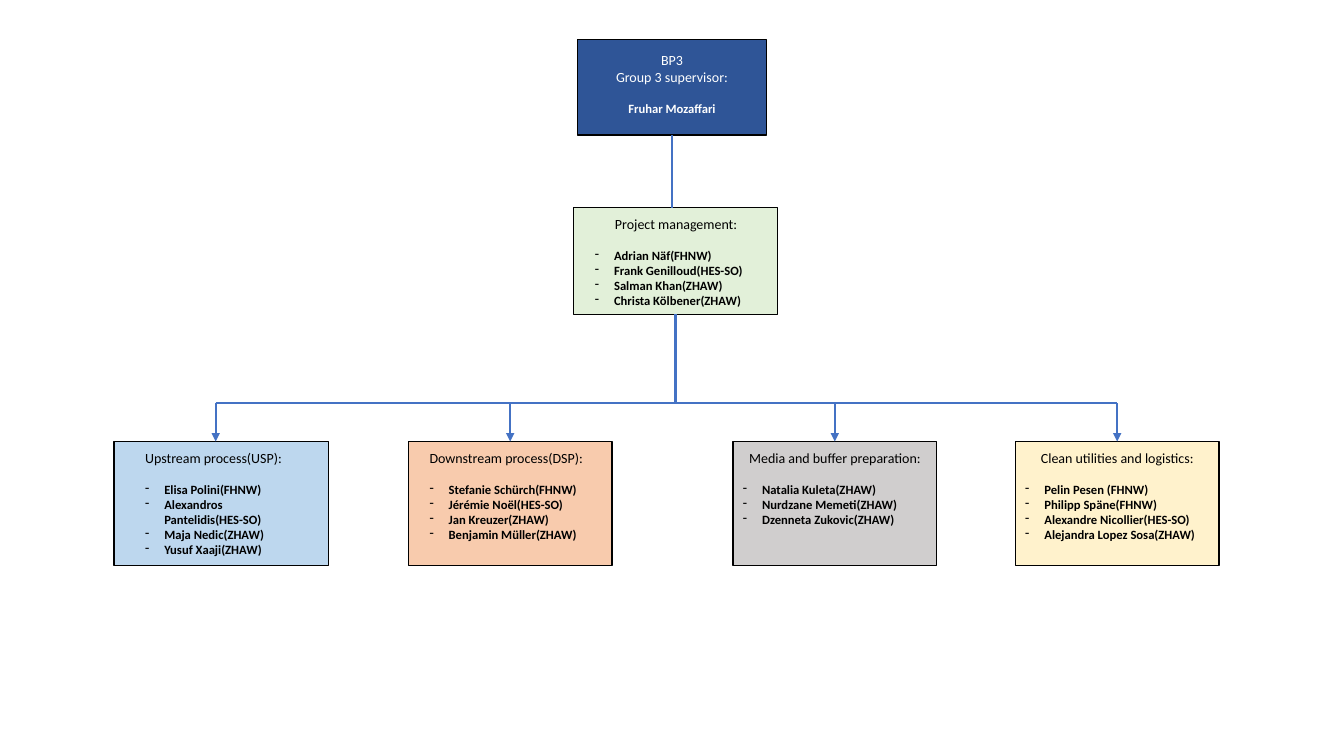
from lxml import etree
from pptx import Presentation
from pptx.dml.color import RGBColor
from pptx.enum import shapes, text
from pptx.oxml import ns
from pptx.util import Inches, Pt

BLACK = RGBColor(0x00, 0x00, 0x00)
WHITE = RGBColor(0xFF, 0xFF, 0xFF)
NAVY = RGBColor(0x2F, 0x55, 0x97)
GREEN = RGBColor(0xE2, 0xF0, 0xD9)
BLUE = RGBColor(0xBD, 0xD7, 0xEE)
ORANGE = RGBColor(0xF8, 0xCB, 0xAD)
GREY = RGBColor(0xD0, 0xCE, 0xCE)
YELLOW = RGBColor(0xFF, 0xF2, 0xCC)
LINK = RGBColor(0x44, 0x72, 0xC4)

CENTER, LEFT = text.PP_ALIGN.CENTER, text.PP_ALIGN.LEFT
SUPERVISOR = (5.73, 0.39, 1.87, 0.95)
MANAGEMENT = (5.69, 2.06, 2.02, 1.06)
TEAM_TOP, TEAM_HEIGHT = 4.38, 1.23
BUS_Y = 4
STEM = 1.01

TEAMS = [
    (1.13, 2.13, BLUE, LEFT, (0.31, 0.41), "Upstream process(USP):",
     ["Elisa Polini(FHNW)", "Alexandros Pantelidis(HES-SO)",
      "Maja Nedic(ZHAW)", "Yusuf Xaaji(ZHAW)"]),
    (4.05, 2.02, ORANGE, LEFT, (0.21, 0.2), "Downstream process(DSP):",
     ["Stefanie Schürch(FHNW)", "Jérémie Noël(HES-SO)",
      "Jan Kreuzer(ZHAW)", "Benjamin Müller(ZHAW)"]),
    (7.27, 2.02, GREY, CENTER, (0.1, 0.1), "Media and buffer preparation:",
     ["Natalia Kuleta(ZHAW)", "Nurdzane Memeti(ZHAW)", "Dzenneta Zukovic(ZHAW)"]),
    (10.07, 2.02, YELLOW, CENTER, (0.1, 0.1), "Clean utilities and logistics:",
     ["Pelin Pesen (FHNW)", "Philipp Späne(FHNW)",
      "Alexandre Nicollier(HES-SO)", "Alejandra Lopez Sosa(ZHAW)"]),
]


def add_dash(paragraph):
    """Give a paragraph a hanging dash bullet."""
    properties = paragraph._p.get_or_add_pPr()
    properties.set("marL", str(Inches(0.19)))
    properties.set("indent", str(-Inches(0.19)))
    etree.SubElement(properties, ns.qn("a:buChar")).set("char", "-")


def add_unit(slide, box, fill, headings, members, align=CENTER,
             sides=(0.1, 0.1), top=0.08, ink=BLACK, dashed=True):
    """Draw one unit of the chart with its headings and members."""
    unit = slide.shapes.add_shape(shapes.MSO_SHAPE.RECTANGLE, *map(Inches, box))
    unit.shadow.inherit = False
    unit.fill.solid()
    unit.fill.fore_color.rgb = fill
    unit.line.color.rgb = BLACK
    unit.line.width = Pt(1)
    frame = unit.text_frame
    frame.word_wrap = True
    frame.vertical_anchor = text.MSO_ANCHOR.TOP
    frame.margin_left, frame.margin_right = map(Inches, sides)
    frame.margin_top, frame.margin_bottom = Inches(top), 0
    frame.text = "\n".join(headings + members)
    for index, paragraph in enumerate(frame.paragraphs):
        is_member = index >= len(headings)
        paragraph.alignment = LEFT if is_member and dashed else align
        if index == len(headings):
            paragraph.space_before = Pt(11)
        if is_member and dashed:
            add_dash(paragraph)
        for run in paragraph.runs:
            run.font.name = "Calibri"
            run.font.size = Pt(9 if is_member else 10)
            run.font.bold = is_member
            run.font.color.rgb = ink


def add_link(slide, start, end, arrow=False):
    """Draw a straight link, with an arrowhead at its end if asked."""
    link = slide.shapes.add_connector(
        shapes.MSO_CONNECTOR.STRAIGHT, *map(Inches, start + end))
    link.line.color.rgb = LINK
    link.line.width = Pt(1.5)
    if arrow:
        outline = link.line._get_or_add_ln()
        etree.SubElement(outline, ns.qn("a:tailEnd")).set("type", "triangle")
    etree.SubElement(link._element.spPr, ns.qn("a:effectLst"))


def add_leadership(slide):
    """Draw the supervisor and management units and the links below them."""
    add_unit(slide, SUPERVISOR, NAVY, ["BP3", "Group 3 supervisor:"],
             ["Fruhar Mozaffari"], top=0.12, ink=WHITE, dashed=False)
    add_unit(slide, MANAGEMENT, GREEN, ["Project management:"],
             ["Adrian Näf(FHNW)", "Frank Genilloud(HES-SO)",
              "Salman Khan(ZHAW)", "Christa Kölbener(ZHAW)"], sides=(0.21, 0.2))
    for (left, top, width, height), bottom in ((SUPERVISOR, MANAGEMENT[1]),
                                               (MANAGEMENT, BUS_Y)):
        center = left + width / 2
        add_link(slide, (center, top + height), (center, bottom))


def add_teams(slide):
    """Draw the row of teams and the bus with an arrow to each."""
    for left, width, fill, align, sides, heading, members in TEAMS:
        add_unit(slide, (left, TEAM_TOP, width, TEAM_HEIGHT), fill,
                 [heading], members, align, sides)
        add_link(slide, (left + STEM, BUS_Y), (left + STEM, TEAM_TOP), arrow=True)
    add_link(slide, (TEAMS[0][0] + STEM, BUS_Y), (TEAMS[-1][0] + STEM, BUS_Y))


def main():
    """Build and save the organisation chart."""
    deck = Presentation()
    deck.slide_width, deck.slide_height = Inches(13.33), Inches(7.5)
    slide = deck.slides.add_slide(deck.slide_layouts[6])
    add_leadership(slide)
    add_teams(slide)
    deck.save("out.pptx")


if __name__ == "__main__":
    main()
